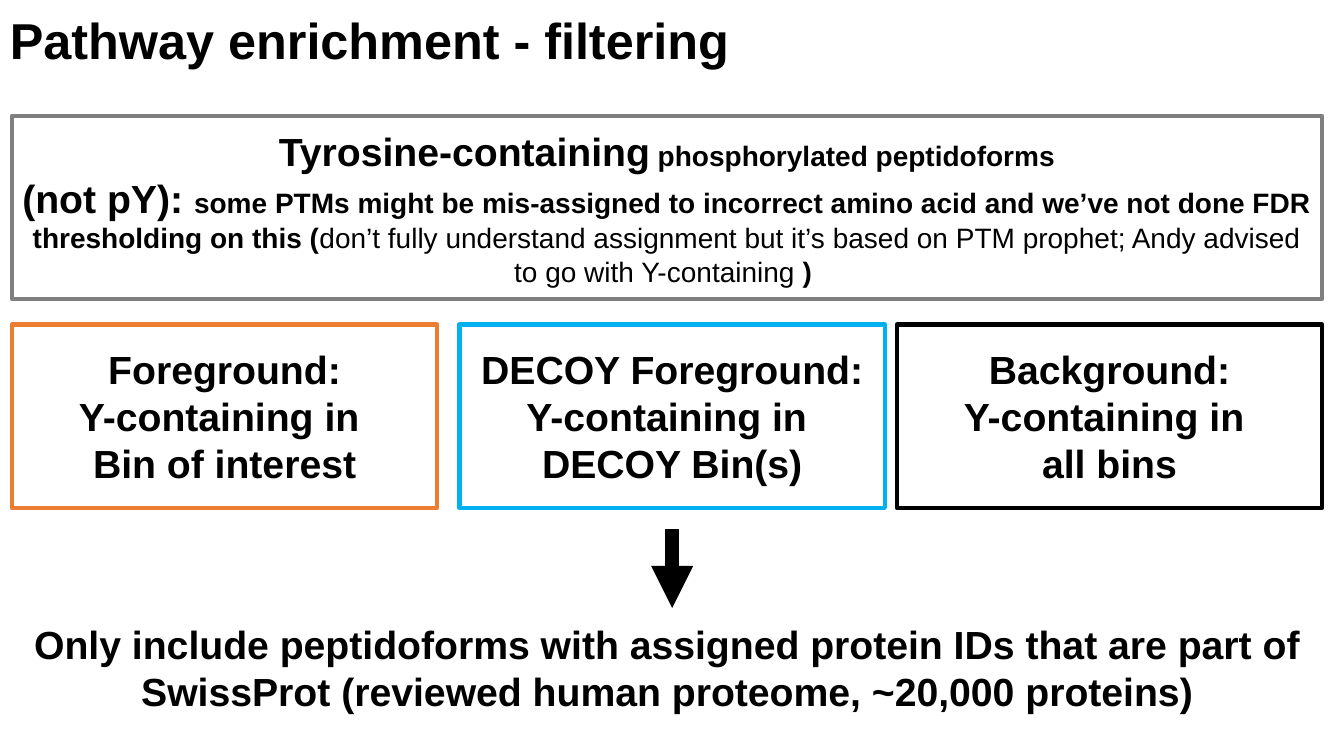
"""Build the pathway enrichment filtering slide."""
from dataclasses import dataclass
from typing import Optional

from lxml.etree import SubElement
from pptx import Presentation
from pptx.dml.color import RGBColor as Rgb
from pptx.enum.shapes import MSO_CONNECTOR as Connector, MSO_SHAPE as Preset
from pptx.enum.text import MSO_ANCHOR as Anchor, PP_ALIGN as Align
from pptx.oxml.ns import qn
from pptx.util import Cm, Pt


@dataclass(frozen=True)
class Theme:
    """Hold the colours, type sizes and line widths."""
    black: Rgb = Rgb(0, 0, 0)
    grey: Rgb = Rgb(0x7F, 0x7F, 0x7F)
    orange: Rgb = Rgb(0xED, 0x7D, 0x31)
    blue: Rgb = Rgb(0x00, 0xB0, 0xF0)
    font: str = "Arial"
    title: int = 36
    large: int = 28
    small: int = 20
    border: int = 3
    arrow: int = 10


THEME = Theme()


@dataclass(frozen=True)
class Span:
    """Describe a stretch of text in one format."""
    text: str
    size: int = THEME.large
    bold: bool = True


@dataclass(frozen=True)
class Panel:
    """Describe a text block, framed when it has a border colour."""
    left: float
    top: float
    width: float
    height: float
    paras: tuple[tuple[Span, ...], ...]
    border: Optional[Rgb] = None
    align: Align = Align.CENTER
    spacing: Optional[float] = None


def lines(*texts: str) -> tuple[tuple[Span, ...], ...]:
    """Make one large bold paragraph of each text."""
    return tuple((Span(text),) for text in texts)


LEFT, WIDE, NARROW, HEIGHT = 0.3, 33.02, 10.72, 4.62
BINS_TOP = 8.18
PANELS = (
    Panel(LEFT, 2.92, WIDE, HEIGHT, (
        (Span("Tyrosine-containing"),
         Span(" phosphorylated peptidoforms", THEME.small)),
        (Span("(not pY): "),
         Span("some PTMs might be mis-assigned to incorrect amino acid and "
              "we’ve not done FDR thresholding on this (", THEME.small),
         Span("don’t fully understand assignment but it’s based on PTM prophet; "
              "Andy advised to go with Y-containing ", THEME.small, False),
         Span(") ", THEME.small)),
    ), THEME.grey),
    Panel(11.58, BINS_TOP, NARROW, HEIGHT,
          lines("DECOY Foreground:", "Y-containing in ", "DECOY Bin(s)"), THEME.blue),
    Panel(LEFT, BINS_TOP, NARROW, HEIGHT,
          lines("Foreground:", "Y-containing in ", "Bin of interest"), THEME.orange),
    Panel(LEFT + WIDE - NARROW, BINS_TOP, NARROW, HEIGHT,
          lines("Background:", "Y-containing in ", "all bins"), THEME.black),
    Panel(LEFT, 14.5, WIDE, HEIGHT,
          lines("Only include peptidoforms with assigned protein IDs that are part of "
                "SwissProt (reviewed human proteome, ~20,000 proteins)")),
    Panel(0, -0.74, 33.68, 3.68,
          ((Span("Pathway enrichment - filtering", THEME.title),),),
          align=Align.LEFT, spacing=0.9),
)


def apply(target: object, formats: dict[str, object]) -> None:
    """Set each named format value on the target."""
    for name, value in formats.items():
        setattr(target, name, value)


def draw_panel(page, panel: Panel) -> None:
    """Draw a panel and its text."""
    place = [Cm(n) for n in (panel.left, panel.top, panel.width, panel.height)]
    if panel.border is None:
        box = page.shapes.add_textbox(*place)
    else:
        box = page.shapes.add_shape(Preset.RECTANGLE, *place)
        box.shadow.inherit = False
        box.fill.background()
        box.line.color.rgb = panel.border
        box.line.width = Pt(THEME.border)
    frame = box.text_frame
    apply(frame, {"word_wrap": True, "vertical_anchor": Anchor.MIDDLE})
    for index, spans in enumerate(panel.paras):
        para = frame.add_paragraph() if index else frame.paragraphs[0]
        apply(para, {"alignment": panel.align, "line_spacing": panel.spacing})
        for span in spans:
            run = para.add_run()
            run.text = span.text
            apply(run.font, {"name": THEME.font, "size": Pt(span.size), "bold": span.bold})
            run.font.color.rgb = THEME.black


def draw_arrow(page, x: float, top: float, bottom: float) -> None:
    """Draw a thick downward arrow."""
    arrow = page.shapes.add_connector(Connector.STRAIGHT, Cm(x), Cm(top), Cm(x), Cm(bottom))
    arrow.line.color.rgb = THEME.black
    arrow.line.width = Pt(THEME.arrow)
    SubElement(arrow.line._get_or_add_ln(), qn("a:tailEnd"), type="triangle")
    SubElement(arrow._element.spPr, qn("a:effectLst"))


def main() -> None:
    """Build and save the deck."""
    deck = Presentation()
    apply(deck, {"slide_width": Cm(33.87), "slide_height": Cm(19.05)})
    page = deck.slides.add_slide(deck.slide_layouts[6])
    for panel in PANELS:
        draw_panel(page, panel)
    draw_arrow(page, 16.94, 13.34, 15.32)
    deck.save("out.pptx")


if __name__ == "__main__":
    main()
